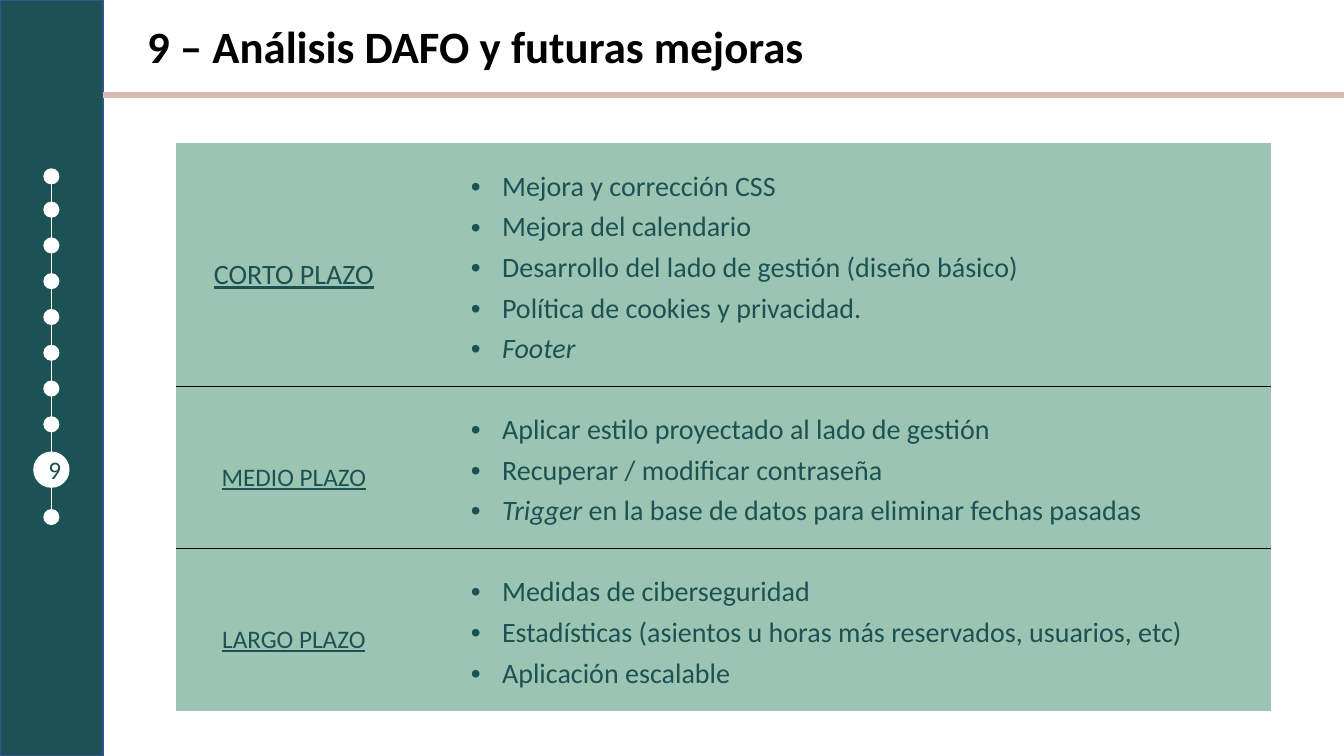
from dataclasses import dataclass

from lxml import etree
from pptx import Presentation
from pptx.dml.color import RGBColor
from pptx.enum.shapes import MSO_CONNECTOR, MSO_SHAPE
from pptx.enum.text import MSO_ANCHOR, MSO_AUTO_SIZE, PP_ALIGN
from pptx.oxml import parse_xml
from pptx.oxml.ns import nsdecls, qn
from pptx.util import Inches, Pt


@dataclass(frozen=True)
class Theme:
    font: str = "Calibri"
    dark: str = "1C5253"
    sidebar_edge: str = "325491"
    mint: str = "9CC4B2"
    rose: str = "D5BBB1"
    white: str = "FFFFFF"
    black: str = "000000"
    title_size: int = 32
    body_size: int = 20
    label_size: int = 18
    line_pitch: int = 29


PLAIN_TABLE_STYLE = "{2D5ABB26-0587-4C30-8999-92F81FD0307C}"
COLUMN_WIDTHS = (2.49, 8.37)
LABEL_INSETS = (0.12, 0.2, 0.28, 0)
LIST_INSETS = (0.43, 0.2, 0.28, 0.2)
BULLET_INDENT = 0.31

# Label, label size, and bullets made of (text, italic) runs
TERMS = [
    ("CORTO PLAZO", Theme.body_size, [
        [("Mejora y corrección CSS", False)],
        [("Mejora del calendario", False)],
        [("Desarrollo del lado de gestión (diseño básico)", False)],
        [("Política de cookies y privacidad.", False)],
        [("Footer", True)],
    ]),
    ("MEDIO PLAZO", Theme.label_size, [
        [("Aplicar estilo proyectado al lado de gestión", False)],
        [("Recuperar / modificar contraseña", False)],
        [("Trigger", True),
         (" en la base de datos para eliminar fechas pasadas", False)],
    ]),
    ("LARGO PLAZO", Theme.label_size, [
        [("Medidas de ciberseguridad", False)],
        [("Estadísticas (asientos u horas más reservados, usuarios, etc)", False)],
        [("Aplicación escalable", False)],
    ]),
]

DOT_SIZE = 0.16
DOT_TOPS = [1.67, *(2 + 0.355 * step for step in range(7)), 5.05]


class SlideBuilder:
    def __init__(self, slide, theme):
        self.slide = slide
        self.theme = theme

    def style_font(self, paragraph, size, color):
        font = paragraph.font
        font.name = self.theme.font
        font.size = Pt(size)
        font.color.rgb = RGBColor.from_string(color)
        return font

    def title(self, text, left, top, width, height):
        title = self.slide.shapes.title
        title.left, title.top = Inches(left), Inches(top)
        title.width, title.height = Inches(width), Inches(height)
        frame = title.text_frame
        frame.text = text
        frame.word_wrap = True
        frame.auto_size = MSO_AUTO_SIZE.NONE
        frame.vertical_anchor = MSO_ANCHOR.MIDDLE
        heading = frame.paragraphs[0]
        heading.alignment = PP_ALIGN.LEFT
        heading.line_spacing = 0.9
        heading.space_before = Pt(0)
        self.style_font(heading, self.theme.title_size, self.theme.black).bold = True

    def shape(self, preset, left, top, width, height, fill, edge=None):
        shape = self.slide.shapes.add_shape(
            preset, Inches(left), Inches(top), Inches(width), Inches(height))
        shape.shadow.inherit = False
        shape.fill.solid()
        shape.fill.fore_color.rgb = RGBColor.from_string(fill)
        if edge:
            shape.line.color.rgb = RGBColor.from_string(edge)
            shape.line.width = Pt(1)
        else:
            shape.line.fill.background()
        return shape

    def circle(self, left, top, size):
        return self.shape(MSO_SHAPE.OVAL, left, top, size, size, self.theme.white)

    def page_marker(self, number, left, top, size):
        frame = self.circle(left, top, size).text_frame
        frame.text = number
        frame.vertical_anchor = MSO_ANCHOR.MIDDLE
        frame.paragraphs[0].alignment = PP_ALIGN.CENTER
        self.style_font(frame.paragraphs[0], self.theme.label_size, self.theme.dark)

    def line(self, x1, y1, x2, y2, color, weight):
        line = self.slide.shapes.add_connector(
            MSO_CONNECTOR.STRAIGHT, Inches(x1), Inches(y1), Inches(x2), Inches(y2))
        line.line.color.rgb = RGBColor.from_string(color)
        line.line.width = Pt(weight)
        etree.SubElement(line._element.spPr, qn("a:effectLst"))

    def cell(self, cell, insets, sides):
        """Fill and pad a cell, and rule the given sides in black."""
        cell.fill.solid()
        cell.fill.fore_color.rgb = RGBColor.from_string(self.theme.mint)
        cell.vertical_anchor = MSO_ANCHOR.MIDDLE
        (cell.margin_left, cell.margin_top,
         cell.margin_right, cell.margin_bottom) = map(Inches, insets)
        for position, side in enumerate(sides):
            border = parse_xml(
                f'<a:ln{side} {nsdecls("a")} w="{Pt(1)}"><a:solidFill>'
                f'<a:srgbClr val="{self.theme.black}"/></a:solidFill></a:ln{side}>')
            cell._tc.get_or_add_tcPr().insert(position, border)

    def bullet(self, paragraph, runs):
        paragraph.alignment = PP_ALIGN.JUSTIFY
        paragraph.line_spacing = Pt(self.theme.line_pitch)
        properties = paragraph._p.get_or_add_pPr()
        properties.set("marL", str(Inches(BULLET_INDENT)))
        properties.set("indent", str(-Inches(BULLET_INDENT)))
        etree.SubElement(properties, qn("a:buFont"), typeface="Arial")
        etree.SubElement(properties, qn("a:buChar"), char="•")
        self.style_font(paragraph, self.theme.body_size, self.theme.dark)
        for text, italic in runs:
            run = paragraph.add_run()
            run.text = text
            if italic:
                run.font.italic = True

    def terms_table(self, terms, left, top):
        """Two columns, label and bullets; each row is as tall as its bullets."""
        heights = [Pt(self.theme.line_pitch) * len(bullets)
                   + Inches(LIST_INSETS[1] + LIST_INSETS[3])
                   for _, _, bullets in terms]
        frame = self.slide.shapes.add_table(
            len(terms), len(COLUMN_WIDTHS), Inches(left), Inches(top),
            Inches(sum(COLUMN_WIDTHS)), sum(heights))
        table = frame.table
        table.first_row = table.horz_banding = False
        table._tbl.tblPr.find(qn("a:tableStyleId")).text = PLAIN_TABLE_STYLE
        for column, width in zip(table.columns, COLUMN_WIDTHS):
            column.width = Inches(width)
        for index, (label, size, bullets) in enumerate(terms):
            table.rows[index].height = heights[index]
            sides = "T" * (index > 0) + "B" * (index < len(terms) - 1)
            label_cell, list_cell = table.rows[index].cells
            self.cell(label_cell, LABEL_INSETS, sides)
            self.cell(list_cell, LIST_INSETS, sides)
            label_cell.text_frame.text = label
            heading = label_cell.text_frame.paragraphs[0]
            heading.alignment = PP_ALIGN.CENTER
            self.style_font(heading, size, self.theme.dark).underline = True
            for position, runs in enumerate(bullets):
                body = list_cell.text_frame
                self.bullet(body.add_paragraph() if position else body.paragraphs[0], runs)


def main():
    deck = Presentation()
    deck.slide_width, deck.slide_height = Inches(13.33), Inches(7.5)
    theme = Theme()
    builder = SlideBuilder(deck.slides.add_slide(deck.slide_layouts[5]), theme)

    builder.shape(MSO_SHAPE.RECTANGLE, 0, 0, 1.02, 7.5, theme.dark, theme.sidebar_edge)
    builder.line(0.51, 1.73, 0.51, 5.16, theme.white, 0.5)
    builder.page_marker("9", 0.33, 4.48, 0.36)
    for top in DOT_TOPS:
        builder.circle(0.43, top, DOT_SIZE)

    builder.line(1.02, 0.94, 13.33, 0.94, theme.rose, 4)
    builder.title("9 – Análisis DAFO y futuras mejoras", 1.36, 0.17, 9.03, 0.63)
    builder.terms_table(TERMS, 1.75, 1.42)
    deck.save("out.pptx")


if __name__ == "__main__":
    main()
